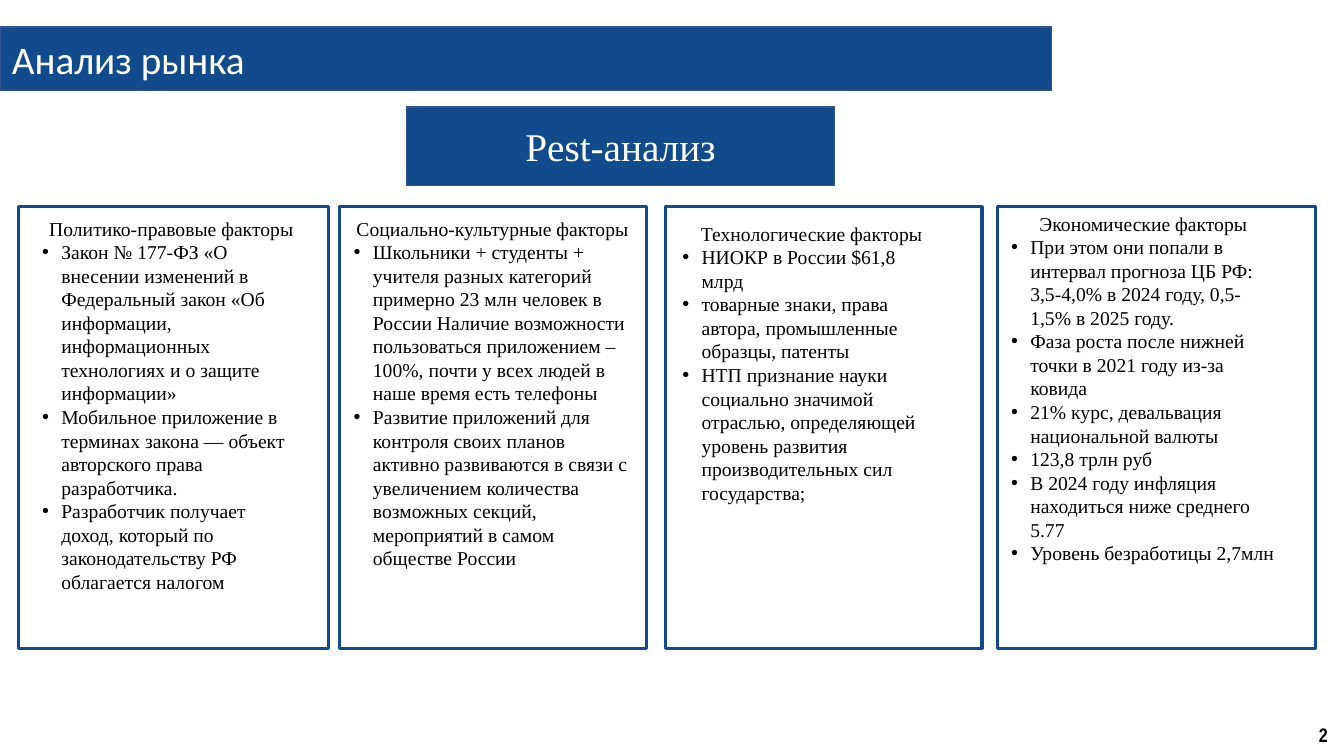
from pptx import Presentation
from pptx import util as u
from pptx.dml.color import RGBColor
from pptx.enum import shapes, text
from lxml import etree

# Content
TITLE, HEAD, PAGE = "Анализ рынка", "Pest-анализ", "2"
SERIF, BLUE, EDGE, WHITE, BLACK = "Times New Roman", "124B8B", "325491", "FFFFFF", "000000"
TOP, TALL, HANG = 2.05, 4.38, 0.19

# Each card: left, width, text left, text top, text width, heading, points
CARDS = [
    (0.18, 3.08, 0.32, 2.1, 2.76, "Политико-правовые факторы", [
        "Закон № 177-ФЗ «О внесении изменений в Федеральный закон «Об информации, "
        "информационных технологиях и о защите информации»",
        "Мобильное приложение в терминах закона — объект авторского права разработчика.",
        "Разработчик получает доход, который по законодательству РФ облагается налогом"]),
    (3.37, 3.04, 3.41, 2.1, 2.95, "Социально-культурные факторы", [
        "Школьники + студенты + учителя разных категорий примерно 23 млн человек в России "
        "Наличие возможности пользоваться приложением – 100%, почти у всех людей в наше "
        "время есть телефоны",
        "Развитие приложений для контроля своих планов активно развиваются в связи с "
        "увеличением количества возможных секций, мероприятий в самом обществе России"]),
    (6.6, 3.14, 6.67, 2.15, 2.76, "Технологические факторы", [
        "НИОКР в России $61,8 млрд",
        "товарные знаки, права автора, промышленные образцы, патенты",
        "НТП признание науки социально значимой отраслью, определяющей уровень развития "
        "производительных сил государства;"]),
    (9.89, 3.16, 9.93, 2.05, 2.82, "Экономические факторы", [
        "При этом они попали в интервал прогноза ЦБ РФ: 3,5-4,0% в 2024 году, "
        "0,5-1,5% в 2025 году.",
        "Фаза роста после нижней точки в 2021 году из-за ковида",
        "21% курс, девальвация национальной валюты",
        "123,8 трлн руб",
        "В 2024 году инфляция находиться ниже среднего 5.77",
        "Уровень безработицы 2,7млн"]),
]

deck = Presentation()
deck.slide_width, deck.slide_height = u.Inches(13.33), u.Inches(7.5)
slide = deck.slides.add_slide(deck.slide_layouts[6])


def tint(code):
    return RGBColor.from_string(code)


def rect(place, fill, edge=None, width=1):
    box = slide.shapes.add_shape(shapes.MSO_SHAPE.RECTANGLE, *map(u.Inches, place))
    box.shadow.inherit = False
    box.fill.solid()
    box.fill.fore_color.rgb = tint(fill)
    if edge:
        box.line.color.rgb = tint(edge)
        box.line.width = u.Pt(width)
    else:
        box.line.fill.background()
    return box


def write(box, lines, size, face, color, center=False, bold=False):
    frame = box.text_frame
    frame.word_wrap = True
    for i, line in enumerate(lines):
        para = frame.add_paragraph() if i else frame.paragraphs[0]
        para.text = line
        para.alignment = text.PP_ALIGN.CENTER if center and not i else text.PP_ALIGN.LEFT
        font = para.font
        font.size, font.name, font.bold = u.Pt(size), face, bold
        font.color.rgb = tint(color)
    return frame


def bullet(para):
    props = para._p.get_or_add_pPr()
    props.set("marL", str(u.Inches(HANG)))
    props.set("indent", str(-u.Inches(HANG)))
    space = props.nsmap["a"]
    face = etree.Element(f"{{{space}}}buFont", typeface="Arial")
    mark = etree.Element(f"{{{space}}}buChar", char="•")
    props.insert(0, face)
    props.insert(1, mark)


# Title band
rect((0, 0.27, 10.43, 0.63), BLUE, EDGE)
name = slide.shapes.add_textbox(*map(u.Inches, (0.02, 0.3, 10.41, 0.57)))
write(name, [TITLE], 28, "Calibri", WHITE)

# Page number and heading
for place, edge, fill, label, style in [
        ((12.93, 7.09, 0.39, 0.4), None, WHITE, PAGE, (14, "Arial Narrow", BLACK, True, True)),
        ((4.03, 1.06, 4.25, 0.78), EDGE, BLUE, HEAD, (28, SERIF, WHITE, True))]:
    box = rect(place, fill, edge)
    write(box, [label], *style).vertical_anchor = text.MSO_ANCHOR.MIDDLE

# Factor cards
for left, width, inner, top, span, head, points in CARDS:
    rect((left, TOP, width, TALL), WHITE, BLUE, 2.25)
    note = slide.shapes.add_textbox(*map(u.Inches, (inner, top, span, TALL - 0.5)))
    frame = write(note, [head, *points], 14, SERIF, BLACK, center=True)
    for para in frame.paragraphs[1:]:
        bullet(para)

deck.save("out.pptx")
